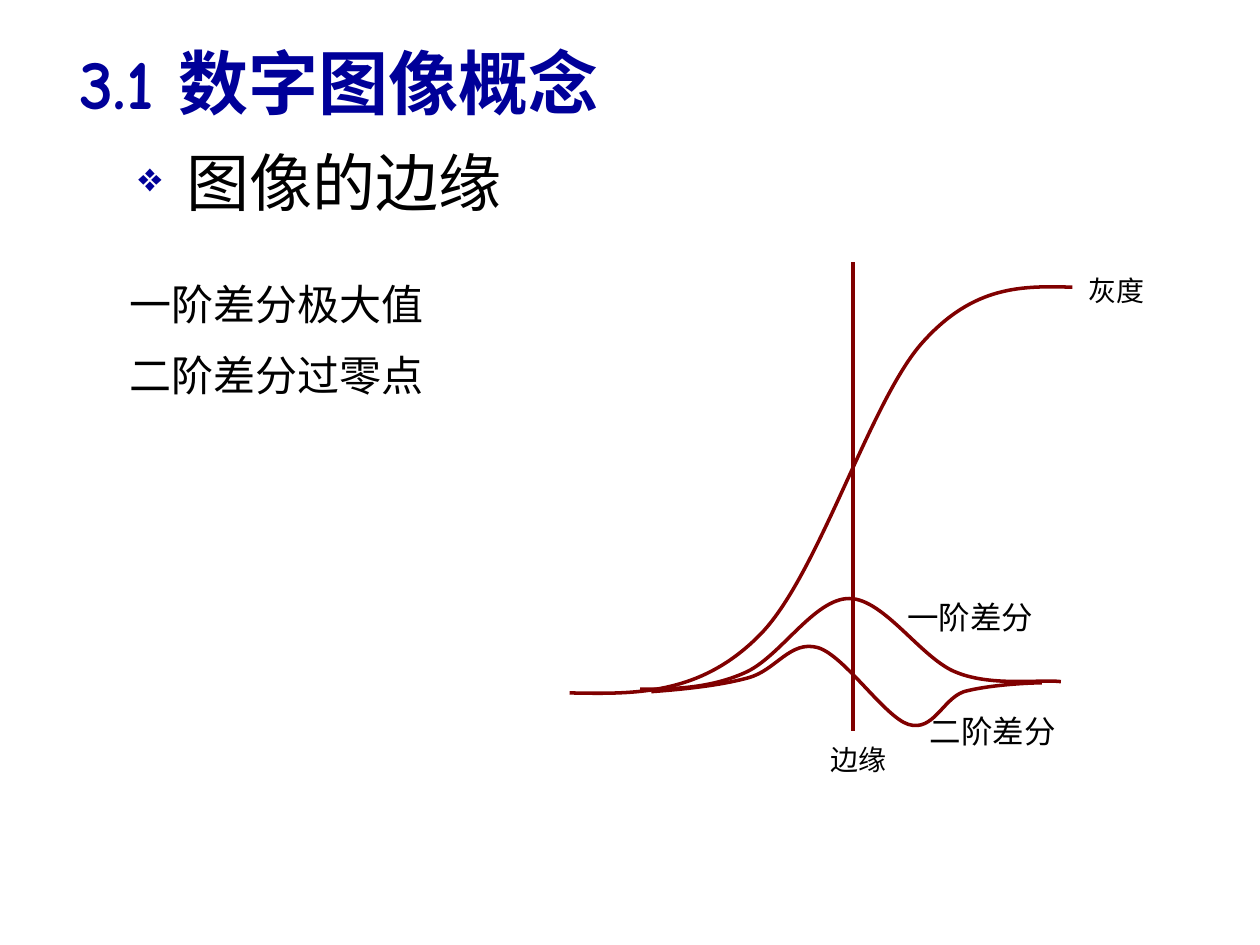
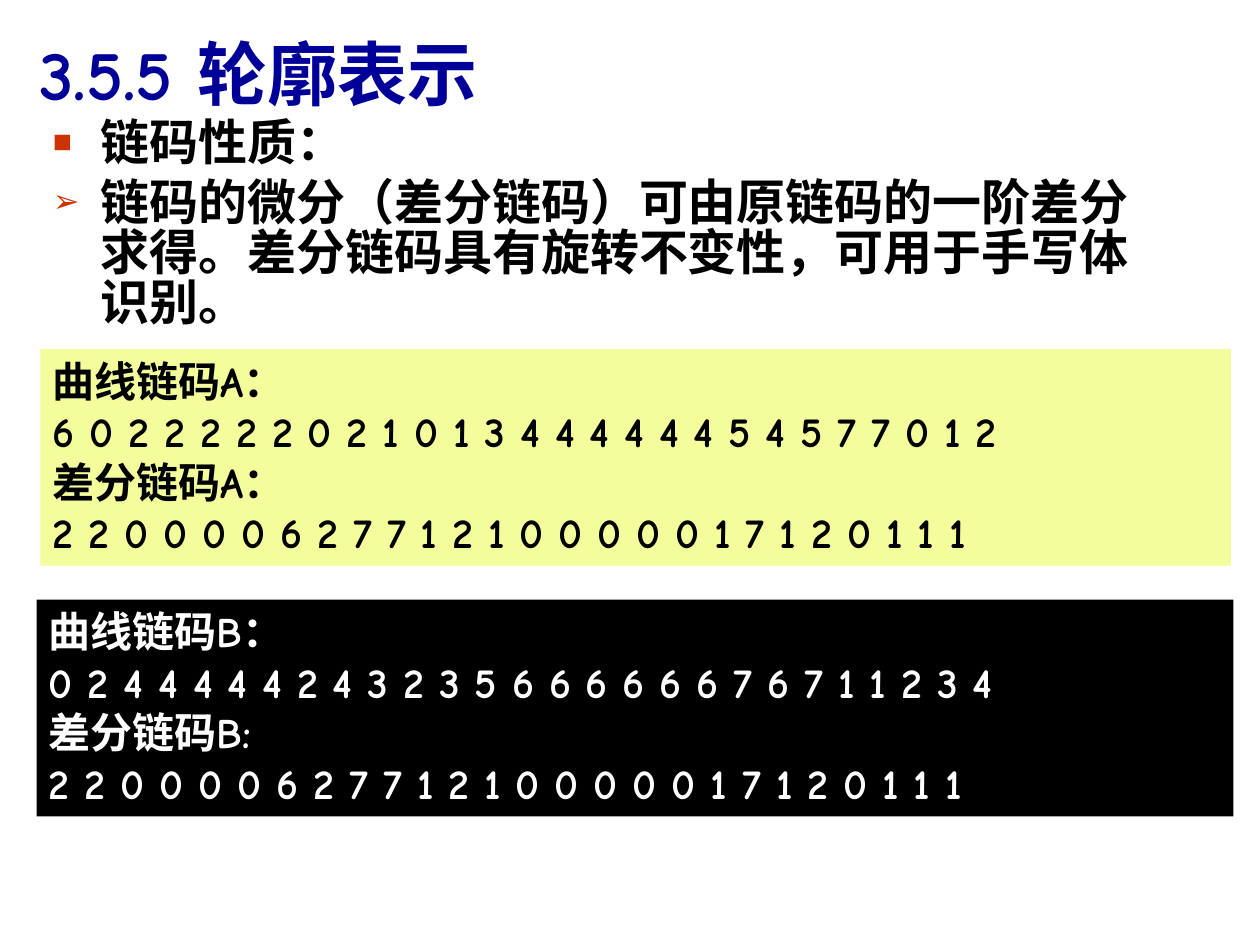
import lxml.etree
import pptx
import pptx.dml.color
import pptx.enum.shapes
import pptx.enum.text
import pptx.oxml.ns
import pptx.util

Inches, Pt = pptx.util.Inches, pptx.util.Pt
RGBColor = pptx.dml.color.RGBColor
qn = pptx.oxml.ns.qn

NAVY = RGBColor(0x00, 0x00, 0x99)
BLACK = RGBColor(0x00, 0x00, 0x00)
WHITE = RGBColor(0xFF, 0xFF, 0xFF)
MAROON = RGBColor(0x80, 0x00, 0x00)
RED = RGBColor(0xCC, 0x33, 0x00)
YELLOW = RGBColor(0xF4, 0xFD, 0x9B)
LATIN_FONT = "Comic Neue"
CHINESE_FONT = "Noto Sans CJK SC"


def write(shape, lines, size, color=BLACK, bold=False, gap=0,
          anchor=pptx.enum.text.MSO_ANCHOR.TOP, wrap=True, bullets="", bullet_color=NAVY):
    """Fill a shape with one paragraph per line; bullets holds one character per line."""
    frame = shape.text_frame
    frame.auto_size = pptx.enum.text.MSO_AUTO_SIZE.NONE
    frame.word_wrap = wrap
    frame.vertical_anchor = anchor
    frame.text = "\n".join(lines)
    for index, paragraph in enumerate(frame.paragraphs):
        paragraph.alignment = pptx.enum.text.PP_ALIGN.LEFT
        paragraph.space_before = Pt(gap if index else 0)
        if bullets:
            paragraph.line_spacing = 0.85
            properties = paragraph._p.get_or_add_pPr()
            properties.set("marL", str(Inches(0.38)))
            properties.set("indent", str(-Inches(0.38)))
            tint = lxml.etree.SubElement(properties, qn("a:buClr"))
            lxml.etree.SubElement(tint, qn("a:srgbClr"), val=str(bullet_color))
            lxml.etree.SubElement(properties, qn("a:buSzPct"), val="65000")
            lxml.etree.SubElement(properties, qn("a:buChar"), char=bullets[index])
        font = paragraph.font
        font.name, font.size, font.bold = LATIN_FONT, Pt(size), bold
        font.color.rgb = color
        lxml.etree.SubElement(font._element, qn("a:ea"), typeface=CHINESE_FONT)


def place(shape, left, top, width, height):
    shape.left, shape.top = Inches(left), Inches(top)
    shape.width, shape.height = Inches(width), Inches(height)


presentation = pptx.Presentation()
presentation.slide_width, presentation.slide_height = Inches(10), Inches(7.5)

# Slide 1: edges of an image
edges = presentation.slides.add_slide(presentation.slide_layouts[5])
place(edges.shapes.title, 0.53, 0.02, 5.11, 1.25)
write(edges.shapes.title, ["3.1 数字图像概念"], 40, NAVY, bold=True,
      anchor=pptx.enum.text.MSO_ANCHOR.MIDDLE)

topic = edges.shapes.add_textbox(Inches(1), Inches(1.18), Inches(3.11), Inches(0.62))
write(topic, ["图像的边缘"], 36, wrap=False, bullets="❖")

diagram = edges.shapes.add_group_shape().shapes

# Each curve is a start point followed by three Bézier points per segment
grey_level = [(4.52, 5.5), (5.04, 5.51), (5.55, 5.52), (6.02, 5.05),
              (6.49, 4.59), (6.9, 3.19), (7.32, 2.72),
              (7.73, 2.26), (8.12, 2.27), (8.51, 2.28)]
second_difference = [(5.17, 5.49), (5.44, 5.47), (5.72, 5.44), (5.94, 5.38),
                     (6.16, 5.32), (6.27, 5.08), (6.49, 5.14),
                     (6.7, 5.2), (7.02, 5.69), (7.21, 5.75),
                     (7.41, 5.81), (7.48, 5.55), (7.65, 5.49),
                     (7.83, 5.44), (8.14, 5.42), (8.27, 5.42)]
first_difference = [(5.08, 5.47), (5.36, 5.47), (5.64, 5.46), (5.91, 5.34),
                    (6.19, 5.22), (6.46, 4.75), (6.74, 4.75),
                    (7.02, 4.75), (7.32, 5.24), (7.6, 5.34),
                    (7.88, 5.45), (8.27, 5.39), (8.42, 5.41)]
for points in (grey_level, second_difference, first_difference):
    start, *controls = [(Inches(x), Inches(y)) for x, y in points]
    builder = diagram.build_freeform(*start)
    builder.add_line_segments(controls, close=False)
    curve = builder.convert_to_shape()
    curve.shadow.inherit = False
    curve.fill.background()
    curve.line.color.rgb = MAROON
    curve.line.width = Pt(2)
    # Turn every three straight segments into one cubic segment
    outline = curve._element.xpath(".//a:path")[0]
    segments = outline.findall(qn("a:lnTo"))
    for first in range(0, len(segments), 3):
        cubic = lxml.etree.SubElement(outline, qn("a:cubicBezTo"))
        for segment in segments[first:first + 3]:
            cubic.append(segment[0])
            outline.remove(segment)

edge_line = diagram.add_connector(pptx.enum.shapes.MSO_CONNECTOR.STRAIGHT,
                                  Inches(6.77), Inches(5.8), Inches(6.77), Inches(2.08))
edge_line.line.color.rgb = MAROON
edge_line.line.width = Pt(2)
lxml.etree.SubElement(edge_line._element.spPr, qn("a:effectLst"))

for wording, size, left, top, width, height in [
    ("灰度", 16, 8.64, 2.17, 0.46, 0.27),
    ("一阶差分", 18, 7.2, 4.75, 1.03, 0.3),
    ("二阶差分", 18, 7.38, 5.65, 1.03, 0.3),
    ("边缘", 16, 6.59, 5.89, 0.46, 0.27),
]:
    label = diagram.add_textbox(Inches(left), Inches(top), Inches(width), Inches(height))
    frame = label.text_frame
    frame.margin_left = frame.margin_top = frame.margin_right = frame.margin_bottom = 0
    write(label, [wording], size, wrap=False)

criteria = edges.shapes.add_textbox(Inches(0.93), Inches(2.16), Inches(3.42), Inches(1.1))
write(criteria, ["一阶差分极大值", "二阶差分过零点"], 24, gap=12)

# Slide 2: chain codes of a contour
contour = presentation.slides.add_slide(presentation.slide_layouts[1])
place(contour.shapes.title, 0.21, 0.19, 5.43, 0.77)
write(contour.shapes.title, ["3.5.5 轮廓表示"], 40, NAVY, bold=True)

chain_properties = contour.placeholders[1]
place(chain_properties, 0.32, 0.91, 8.98, 2.76)
write(chain_properties,
      ["链码性质：",
       "链码的微分（差分链码）可由原链码的一阶差分求得。差分链码具有旋转不变性，可用于手写体识别。"],
      28, bold=True, gap=5.6, bullets="■➢", bullet_color=RED)

difference_code = "2 2 0 0 0 0 6 2 7 7 1 2 1 0 0 0 0 0 1 7 1 2 0 1 1 1"
for left, top, width, fill, color, curve_heading, curve_code, difference_heading in [
    (0.29, 4.76, 9.5, BLACK, WHITE, "曲线链码B：",
     "0 2 4 4 4 4 4 2 4 3 2 3 5 6 6 6 6 6 6 7 6 7 1 1 2 3 4", "差分链码B:"),
    (0.32, 2.77, 9.45, YELLOW, BLACK, "曲线链码A：",
     "6 0 2 2 2 2 2 0 2 1 0 1 3 4 4 4 4 4 4 5 4 5 7 7 0 1 2", "差分链码A："),
]:
    panel = contour.shapes.add_shape(pptx.enum.shapes.MSO_SHAPE.RECTANGLE,
                                     Inches(left), Inches(top), Inches(width), Inches(1.72))
    panel.shadow.inherit = False
    panel.fill.solid()
    panel.fill.fore_color.rgb = fill
    panel.line.fill.background()
    write(panel, [curve_heading, curve_code, difference_heading, difference_code],
          24, color, bold=True)

presentation.save("out.pptx")
